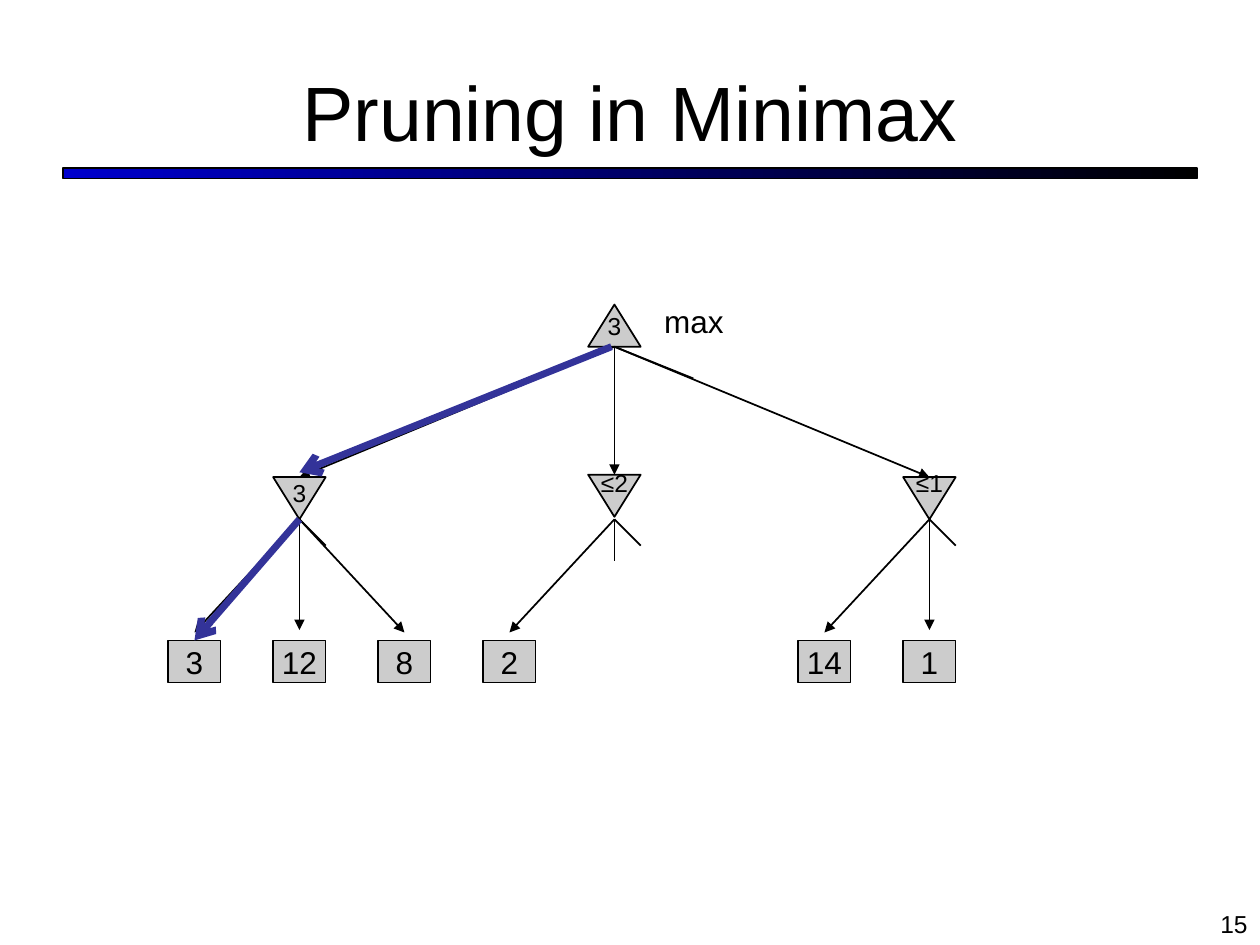
from lxml.etree import SubElement
from pptx import Presentation
from pptx.dml.color import RGBColor
from pptx.enum.shapes import MSO_CONNECTOR, MSO_SHAPE
from pptx.enum.text import MSO_ANCHOR, PP_ALIGN
from pptx.oxml.ns import qn
from pptx.util import Cm, Pt

BLACK = RGBColor(0x00, 0x00, 0x00)
BLUE = RGBColor(0x00, 0x00, 0xCC)
GRAY = RGBColor(0xCC, 0xCC, 0xCC)
INDIGO = RGBColor(0x33, 0x33, 0x99)

# Tree grid in cm: one column per leaf, three leaves under each min node
COL_0, COL_STEP = 3.92, 6.35 / 3
NODE_W, NODE_H = 1.06, 0.85
ROOT_Y, MIN_Y, LEAF_Y = 6.14, 9.62, 12.91
ROOT_BASE, MIN_TIP = ROOT_Y + NODE_H, MIN_Y + NODE_H
ROOT_COL = 4


def col_x(col):
    return COL_0 + col * COL_STEP


def write(tf, text, *, size=18, align=PP_ALIGN.CENTER, anchor=MSO_ANCHOR.TOP,
          wrap=False, color=BLACK, font="Arial"):
    tf.word_wrap = wrap
    tf.vertical_anchor = anchor
    p = tf.paragraphs[0]
    p.alignment = align
    r = p.add_run()
    r.text = text
    r.font.name = font
    r.font.size = Pt(size)
    r.font.color.rgb = color


class TreeSlide:
    def __init__(self, slide, fill=GRAY, line=BLACK):
        self.s = slide
        self.fill = fill
        self.line = line

    def shape(self, kind, x, y, w, h, line_width):
        sp = self.s.shapes.add_shape(kind, Cm(x), Cm(y), Cm(w), Cm(h))
        sp.shadow.inherit = False
        sp.fill.solid()
        sp.fill.fore_color.rgb = self.fill
        sp.line.color.rgb = self.line
        sp.line.width = Pt(line_width)
        return sp

    def rule(self, x, y, w, h):
        sp = self.shape(MSO_SHAPE.RECTANGLE, x, y, w, h, 0.75)
        sp.fill.gradient()
        sp.fill.gradient_angle = 180
        for stop, color in zip(sp.fill.gradient_stops, (BLACK, BLUE)):
            stop.color.rgb = color

    def text(self, text, x, y, w, h, **fmt):
        tb = self.s.shapes.add_textbox(Cm(x), Cm(y), Cm(w), Cm(h))
        write(tb.text_frame, text, **fmt)

    def leaf(self, text, col):
        sp = self.shape(MSO_SHAPE.RECTANGLE, col_x(col) - NODE_W / 2, LEAF_Y,
                        NODE_W, NODE_H, 0.75)
        write(sp.text_frame, text, anchor=MSO_ANCHOR.MIDDLE)

    def node(self, text, col, y, text_y, is_min=True):
        sp = self.shape(MSO_SHAPE.ISOSCELES_TRIANGLE, col_x(col) - NODE_W / 2, y,
                        NODE_W, NODE_H, 1)
        if is_min:
            sp._element.spPr.xfrm.set("flipV", "1")
        # Wider than the triangle, so that the value stays on one line
        self.text(text, col_x(col) - 0.65, text_y, 1.3, 0.86, size=14)

    def edge(self, x1, y1, x2, y2, head=None, color=None, width=1):
        c = self.s.shapes.add_connector(MSO_CONNECTOR.STRAIGHT,
                                        Cm(x1), Cm(y1), Cm(x2), Cm(y2))
        c.line.color.rgb = color or self.line
        c.line.width = Pt(width)
        if head:
            SubElement(c.line._get_or_add_ln(), qn("a:tailEnd"), type=head)
        SubElement(c._element.spPr, qn("a:effectLst"))

    def stubs(self, x, y, *offsets):
        for dx, dy in offsets:
            self.edge(x, y, x + dx, y + dy)


def main():
    prs = Presentation()
    prs.slide_width, prs.slide_height = Cm(25.4), Cm(19.05)
    tree = TreeSlide(prs.slides.add_slide(prs.slide_layouts[6]))

    # Title, rule and page number
    tree.rule(1.27, 3.39, 22.86, 0.21)
    tree.text("Pruning in Minimax", 1.27, 0.64, 22.86, 3.18, size=44,
              anchor=MSO_ANCHOR.MIDDLE, wrap=True)
    tree.text("15", 19.48, 18.2, 5.92, 0.85, size=14,
              align=PP_ALIGN.RIGHT, wrap=True)

    # Root
    root_x = col_x(ROOT_COL)
    tree.node("3", ROOT_COL, ROOT_Y, 6.14, is_min=False)
    tree.text("max", 13.14, 5.97, 1.9, 1.02, align=PP_ALIGN.LEFT, wrap=True)
    tree.stubs(root_x, ROOT_BASE, (0, 0.84), (1.59, 0.64))

    # Min nodes: value, column, top, text top, leaves by column
    min_nodes = [
        ("3", 1, MIN_Y, 9.52, {0: "3", 1: "12", 2: "8"}),
        ("≤2", 4, MIN_Y - 0.05, 9.32, {3: "2"}),
        ("≤1", 7, MIN_Y, 9.32, {6: "14", 7: "1"}),
    ]
    for value, col, top, text_y, leaves in min_nodes:
        x = col_x(col)
        tree.edge(root_x, ROOT_BASE, x, top, head="triangle")
        tree.node(value, col, top, text_y)
        tree.stubs(x, MIN_TIP, (0, 0.84), (0.53, 0.53))
        for leaf_col, leaf in leaves.items():
            end_y = 12.7 if leaf_col == col else 12.75
            tree.edge(x, MIN_TIP, col_x(leaf_col), end_y, head="triangle")
            tree.leaf(leaf, leaf_col)

    # Best path
    best = dict(head="arrow", color=INDIGO, width=4)
    tree.edge(root_x - 0.06, ROOT_BASE, col_x(1), 9.52, **best)
    tree.edge(col_x(1), MIN_TIP, col_x(0), LEAF_Y, **best)

    prs.save("out.pptx")


if __name__ == "__main__":
    main()
